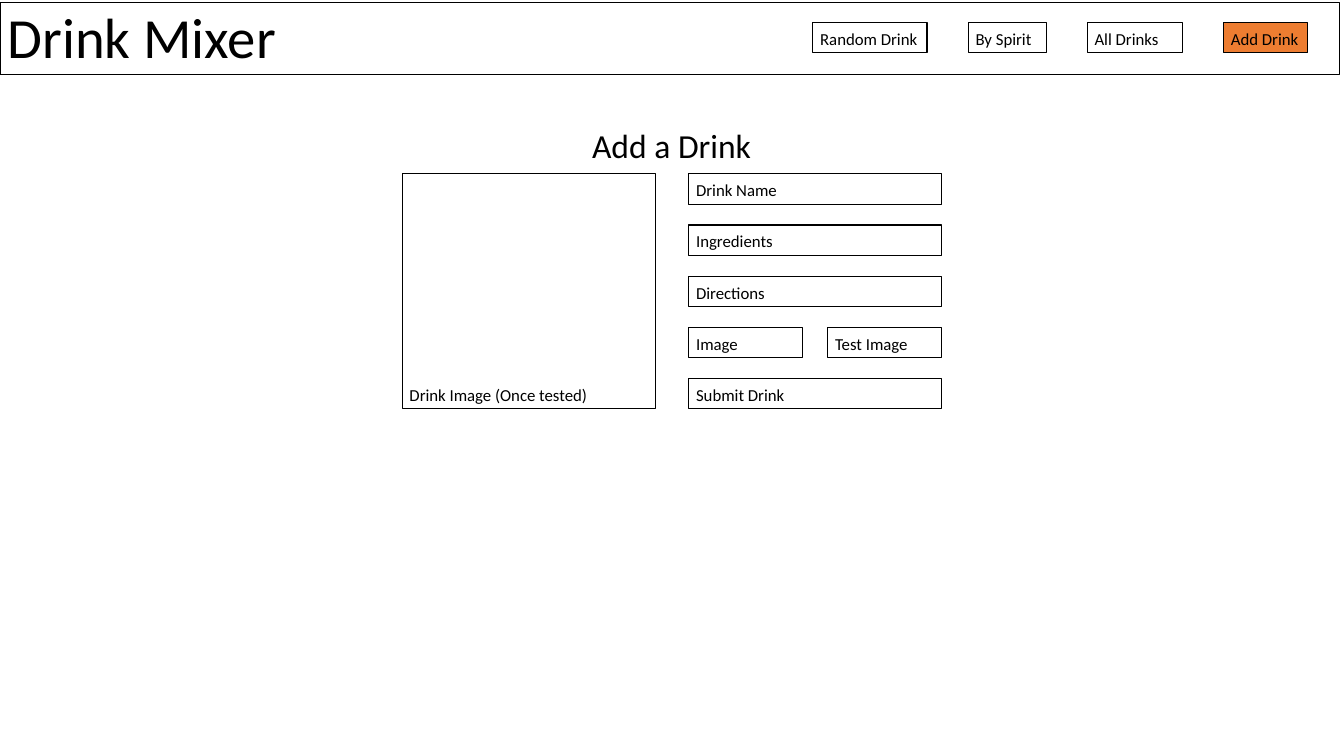
from dataclasses import dataclass
from typing import Optional

from pptx import Presentation
from pptx.dml.color import RGBColor
from pptx.enum.shapes import MSO_SHAPE
from pptx.enum.text import MSO_ANCHOR, MSO_AUTO_SIZE, PP_ALIGN
from pptx.util import Cm, Pt

BLACK, WHITE, ORANGE = "000000", "FFFFFF", "ED7D31"
FRAME = {"word_wrap": True, "auto_size": MSO_AUTO_SIZE.NONE}
BOX_FRAME = {**FRAME, "vertical_anchor": MSO_ANCHOR.BOTTOM}
HEADING_FRAME = {**FRAME, "vertical_anchor": MSO_ANCHOR.TOP, "margin_top": Cm(1.85)}
BOX_PARAGRAPH = {"alignment": PP_ALIGN.JUSTIFY, "line_spacing": 0.9, "space_before": Pt(0)}
HEADING_PARAGRAPH = {**BOX_PARAGRAPH, "alignment": PP_ALIGN.CENTER}

ROW_HEIGHT = 1.02
NAV_LEFT, NAV_TOP, NAV_GAP = 27.31, 0.76, 1.38
IMAGE_LEFT, FORM_LEFT, FORM_TOP = 13.51, 23.14, 5.84
FORM_WIDTH, HALF_WIDTH, ROW_STEP = 8.51, 3.84, 1.72


@dataclass
class Box:
    text: str
    left: float
    top: float
    width: float
    height: float = ROW_HEIGHT
    fill: Optional[str] = WHITE


def rgb(value: str) -> RGBColor:
    return RGBColor.from_string(value)


def apply(target, values: dict) -> None:
    for name, value in values.items():
        setattr(target, name, value)


def place(sp, left: float, top: float, width: float, height: float) -> None:
    apply(sp, {"left": Cm(left), "top": Cm(top), "width": Cm(width), "height": Cm(height)})


def write(sp, text: str, size: int, frame: dict, paragraph: dict) -> None:
    tf = sp.text_frame
    apply(tf, frame)
    p = tf.paragraphs[0]
    apply(p, paragraph)
    r = p.add_run()
    r.text = text
    apply(r.font, {"name": "Calibri", "size": Pt(size)})
    r.font.color.rgb = rgb(BLACK)


def outline(sp, fill: Optional[str]) -> None:
    if fill is None:
        sp.fill.background()
    else:
        sp.fill.solid()
        sp.fill.fore_color.rgb = rgb(fill)
    sp.line.color.rgb = rgb(BLACK)
    sp.line.width = Pt(1)


def draw_box(s, box: Box) -> None:
    sp = s.shapes.add_shape(MSO_SHAPE.RECTANGLE, Cm(box.left), Cm(box.top),
                            Cm(box.width), Cm(box.height))
    sp.shadow.inherit = False
    outline(sp, box.fill)
    write(sp, box.text, 16, BOX_FRAME, BOX_PARAGRAPH)


def nav_boxes() -> list[Box]:
    boxes, left = [], NAV_LEFT
    for text, width, fill in (("Random Drink", 3.84, WHITE), ("By Spirit", 2.62, None),
                              ("All Drinks", 3.2, None), ("Add Drink", 2.84, ORANGE)):
        boxes.append(Box(text, left, NAV_TOP, width, fill=fill))
        left += width + NAV_GAP
    return boxes


def form_boxes() -> list[Box]:
    rows = (("Drink Name",), ("Ingredients",), ("Directions",),
            ("Image", "Test Image"), ("Submit Drink",))
    boxes = []
    for i, row in enumerate(rows):
        width = FORM_WIDTH if len(row) == 1 else HALF_WIDTH
        for j, text in enumerate(row):
            left = FORM_LEFT + j * (FORM_WIDTH - HALF_WIDTH)
            boxes.append(Box(text, left, FORM_TOP + i * ROW_STEP, width))
    return boxes


def main() -> None:
    prs = Presentation()
    prs.slide_width, prs.slide_height = Cm(45.16), Cm(25.4)
    s = prs.slides.add_slide(prs.slide_layouts[0])

    title, heading = s.placeholders
    place(title, 0, 0.08, 45.01, 2.44)
    outline(title, WHITE)
    write(title, "Drink Mixer", 54, BOX_FRAME, BOX_PARAGRAPH)
    place(heading, 5.64, 2.49, 33.86, 22.91)
    write(heading, "Add a Drink", 32, HEADING_FRAME, HEADING_PARAGRAPH)

    preview = Box("Drink Image (Once tested)", IMAGE_LEFT, FORM_TOP, FORM_WIDTH, 7.9)
    for box in (preview, *nav_boxes(), *form_boxes()):
        draw_box(s, box)
    prs.save("out.pptx")


if __name__ == "__main__":
    main()
